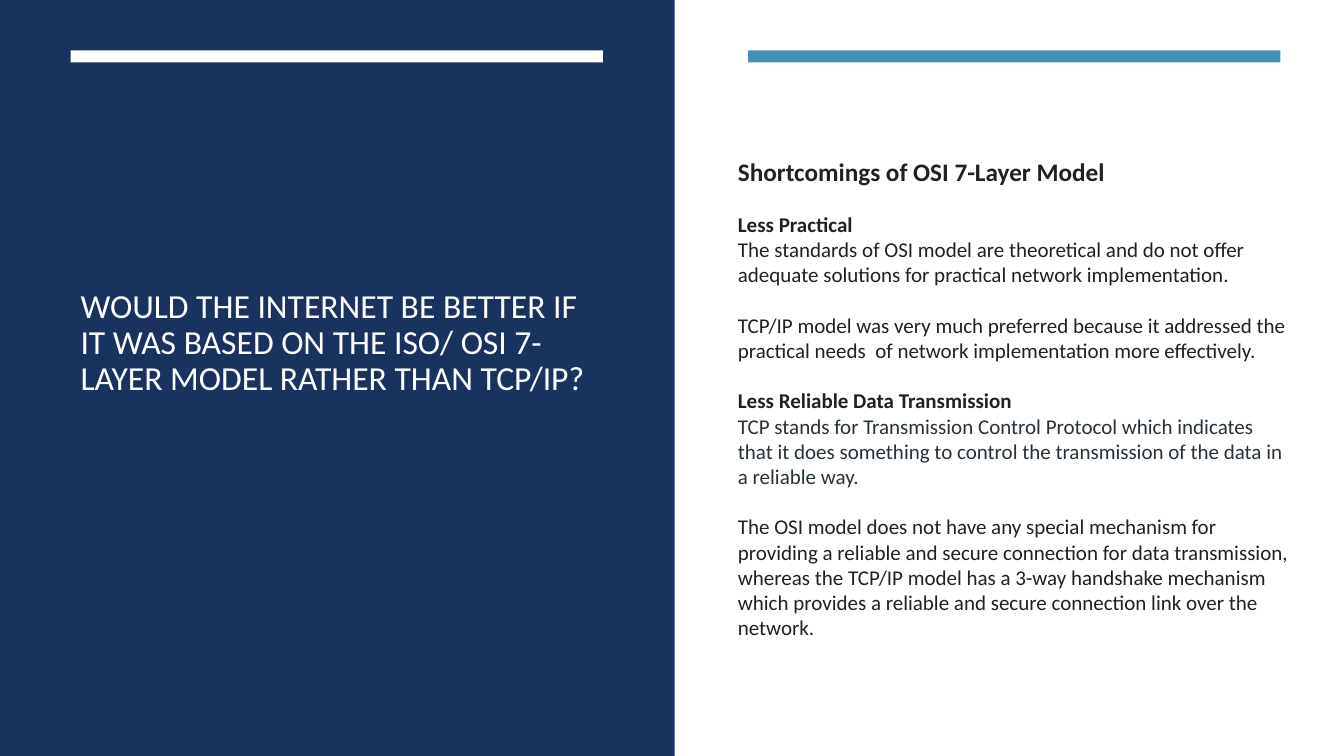
"""Builds a two-panel slide on the shortcomings of the OSI model."""
from pptx import Presentation
from pptx.dml.color import RGBColor
from pptx.enum.shapes import MSO_SHAPE
from pptx.enum.text import MSO_ANCHOR, PP_ALIGN
from pptx.util import Inches, Pt

NAVY, BLUE, WHITE = "1A3260", "4590B8", "FFFFFF"
INK, SLATE = "202124", "273239"


def color(hex_string):
    return RGBColor.from_string(hex_string)


def add_text(paragraph, text, size, hex_string, bold=False):
    paragraph.alignment = PP_ALIGN.LEFT
    run = paragraph.add_run()
    run.text = text
    run.font.name = "Calibri"
    run.font.size = Pt(size)
    run.font.bold = bold
    run.font.color.rgb = color(hex_string)


presentation = Presentation()
presentation.slide_width = Inches(13.33)
presentation.slide_height = Inches(7.5)
slide = presentation.slides.add_slide(presentation.slide_layouts[6])

rectangles = [
    (0, 0, 13.33, 7.5, WHITE),
    (0, 0, 6.69, 7.5, NAVY),
    (0.7, 0.5, 5.28, 0.12, WHITE),
    (7.42, 0.5, 5.28, 0.12, BLUE),
]
for left, top, width, height, fill in rectangles:
    shape = slide.shapes.add_shape(
        MSO_SHAPE.RECTANGLE, Inches(left), Inches(top), Inches(width), Inches(height))
    shape.shadow.inherit = False
    shape.fill.solid()
    shape.fill.fore_color.rgb = color(fill)
    shape.line.fill.background()

title_box = slide.shapes.add_textbox(Inches(0.7), Inches(1.13), Inches(5.28), Inches(5.28))
title_frame = title_box.text_frame
title_frame.word_wrap = True
title_frame.vertical_anchor = MSO_ANCHOR.MIDDLE
title_frame.margin_bottom = Inches(0.77)
title = title_frame.paragraphs[0]
title.line_spacing = 0.9
add_text(title, "WOULD THE INTERNET BE BETTER IF IT WAS BASED ON THE ISO/ OSI 7-LAYER MODEL "
         "RATHER THAN TCP/IP?", 24, WHITE)

body_box = slide.shapes.add_textbox(Inches(7.22), Inches(1.5), Inches(5.68), Inches(6))
body_frame = body_box.text_frame
body_frame.word_wrap = True
body = [
    ("Shortcomings of OSI 7-Layer Model", 18, INK, True, 0),
    ("Less Practical", 15, INK, True, 18),
    ("The standards of OSI model are theoretical and do not offer adequate solutions "
     "for practical network implementation.", 15, INK, False, 0),
    ("TCP/IP model was very much preferred because it addressed the practical needs  of "
     "network implementation more effectively.", 15, INK, False, 18),
    ("Less Reliable Data Transmission", 15, INK, True, 18),
    ("TCP stands for Transmission Control Protocol which indicates that it does something "
     "to control the transmission of the data in a reliable way.", 15, SLATE, False, 0),
    ("The OSI model does not have any special mechanism for providing a reliable and secure "
     "connection for data transmission, whereas the TCP/IP model has a 3-way handshake "
     "mechanism which provides a reliable and secure connection link over the network.",
     15, INK, False, 18),
]
for index, (text, size, hex_string, bold, space_before) in enumerate(body):
    paragraph = body_frame.add_paragraph() if index else body_frame.paragraphs[0]
    paragraph.space_before = Pt(space_before)
    add_text(paragraph, text, size, hex_string, bold)

presentation.save("out.pptx")
